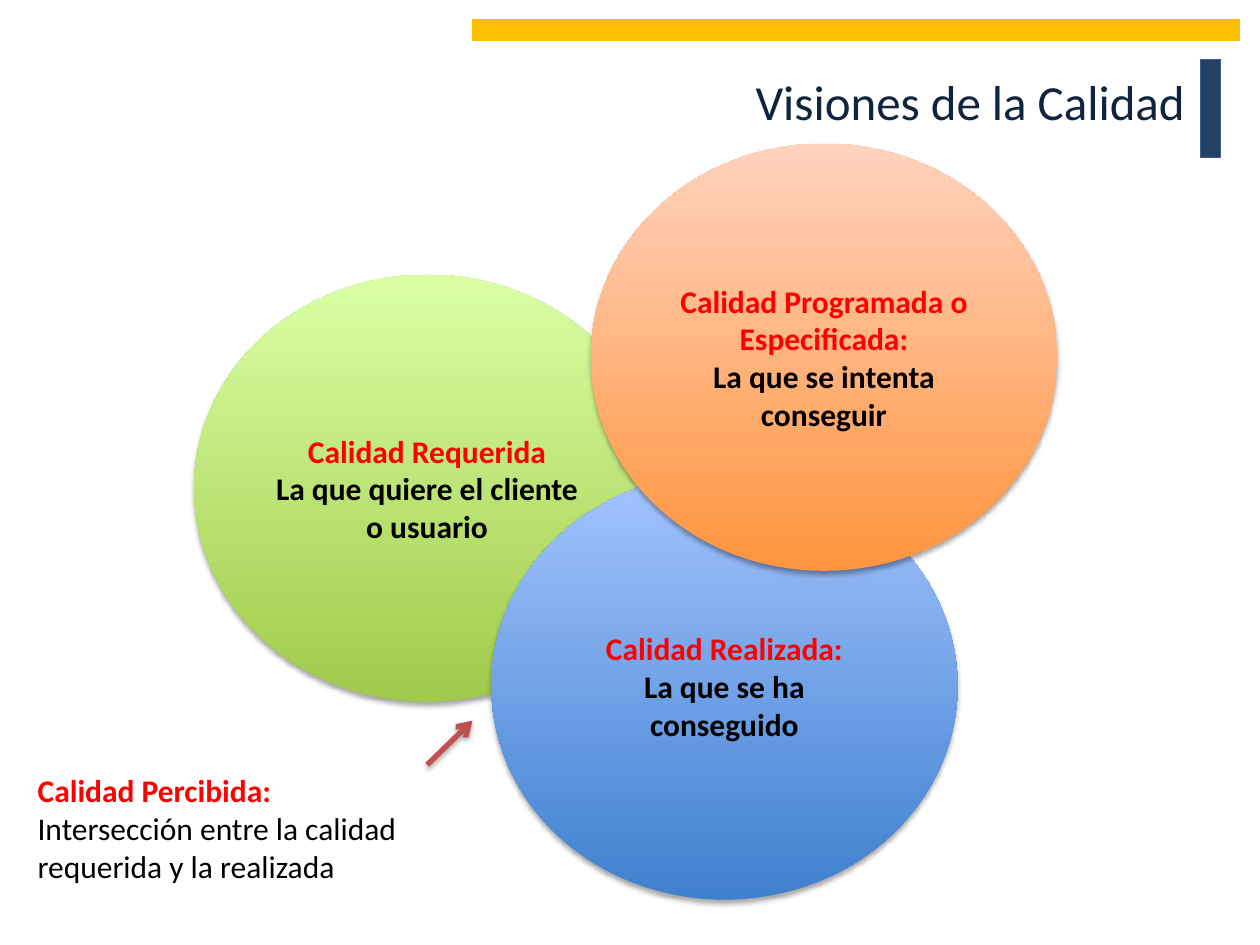
"""Build the slide on the views of quality: three overlapping circles and a note."""
from lxml.etree import SubElement as Sub
from pptx import Presentation
from pptx.dml.color import RGBColor
from pptx.enum.shapes import MSO_CONNECTOR as Link, MSO_SHAPE as Kind
from pptx.enum.text import MSO_ANCHOR as Anchor, PP_ALIGN as Align
from pptx.oxml.ns import qn
from pptx.util import Inches, Pt

HUES = {
    "title": "0F243E", "navy": "254061", "edge": "376092", "gold": "FFC000",
    "head": "FF0000", "body": "000000", "arrow": "C0504D", "shade": "000000",
}
FONT = "Calibri"
TITLE = "Visiones de la Calidad"
BARS = [
    ((9.53, 0.47, 0.16, 0.78), "navy", "edge"),
    ((3.75, 0.16, 6.09, 0.16), "gold", "gold"),
]
SIZE = (3.7, 3.39)
VIEWS = [
    ((1.54, 2.18), ("A0CA4A", "DAFFA5"), "Calidad Requerida",
     "La que quiere el cliente o usuario"),
    ((3.9, 3.75), ("3F80CE", "A4C4FF"), "Calidad Realizada:",
     "La que se ha conseguido"),
    ((4.69, 1.14), ("FF953E", "FFD2BD"), "Calidad Programada o Especificada:",
     "La que se intenta conseguir"),
]
ARROW = (3.39, 6.07, 3.75, 5.72)
NOTE = ("Calidad Percibida: ", "Intersección entre la calidad requerida y la realizada")


def rgb(name):
    return RGBColor.from_string(HUES.get(name, name))


def place(box):
    return [Inches(v) for v in box]


def add_run(par, text, hue, size=18, bold=False):
    run = par.add_run()
    run.text = text
    font = run.font
    font.name, font.size, font.bold = FONT, Pt(size), bold
    font.color.rgb = rgb(hue)


def add_text(slide, box):
    frame = slide.shapes.add_textbox(*place(box)).text_frame
    frame.word_wrap = True
    return frame.paragraphs[0]


def add_shade(props):
    for old in props.findall(qn("a:effectLst")):
        props.remove(old)
    list_ = Sub(props, qn("a:effectLst"))
    glow = Sub(list_, qn("a:outerShdw"), blurRad=str(Pt(3.1)), dist=str(Pt(1.8)),
               dir="5400000", rotWithShape="0")
    tint = Sub(glow, qn("a:srgbClr"), val=HUES["shade"])
    Sub(tint, qn("a:alpha"), val="35000")


def add_bar(slide, box, fill, edge):
    bar = slide.shapes.add_shape(Kind.RECTANGLE, *place(box))
    bar.shadow.inherit = False
    bar.fill.solid()
    bar.fill.fore_color.rgb = rgb(fill)
    bar.line.color.rgb = rgb(edge)
    bar.line.width = Pt(0.75)


def add_view(slide, spot, tones, head, body):
    disc = slide.shapes.add_shape(Kind.OVAL, *place(spot + SIZE))
    disc.fill.gradient()
    disc.fill.gradient_angle = 90
    for stop, tone in zip(disc.fill.gradient_stops, tones):
        stop.color.rgb = rgb(tone)
    disc.line.fill.background()
    add_shade(disc.element.spPr)
    frame = disc.text_frame
    frame.word_wrap = True
    frame.vertical_anchor = Anchor.MIDDLE
    pars = frame.paragraphs[0], frame.add_paragraph()
    for par, text, hue in zip(pars, (head, body), ("head", "body")):
        par.alignment = Align.CENTER
        add_run(par, text, hue, bold=True)


def add_arrow(slide, ends):
    arrow = slide.shapes.add_connector(Link.STRAIGHT, *place(ends))
    arrow.line.color.rgb = rgb("arrow")
    arrow.line.width = Pt(3)
    Sub(arrow.line._get_or_add_ln(), qn("a:tailEnd"), type="arrow")
    add_shade(arrow.element.spPr)


def main():
    deck = Presentation()
    deck.slide_width, deck.slide_height = Inches(10), Inches(7.5)
    slide = deck.slides.add_slide(deck.slide_layouts[6])
    title = add_text(slide, (0.5, 0.52, 9, 1.25))
    title.alignment = Align.RIGHT
    add_run(title, TITLE, "title", 28)
    for bar in BARS:
        add_bar(slide, *bar)
    for view in VIEWS:
        add_view(slide, *view)
    add_arrow(slide, ARROW)
    note = add_text(slide, (0.2, 6.07, 3.19, 1.01))
    add_run(note, NOTE[0], "head", bold=True)
    add_run(note, NOTE[1], "body")
    deck.save("out.pptx")


if __name__ == "__main__":
    main()
